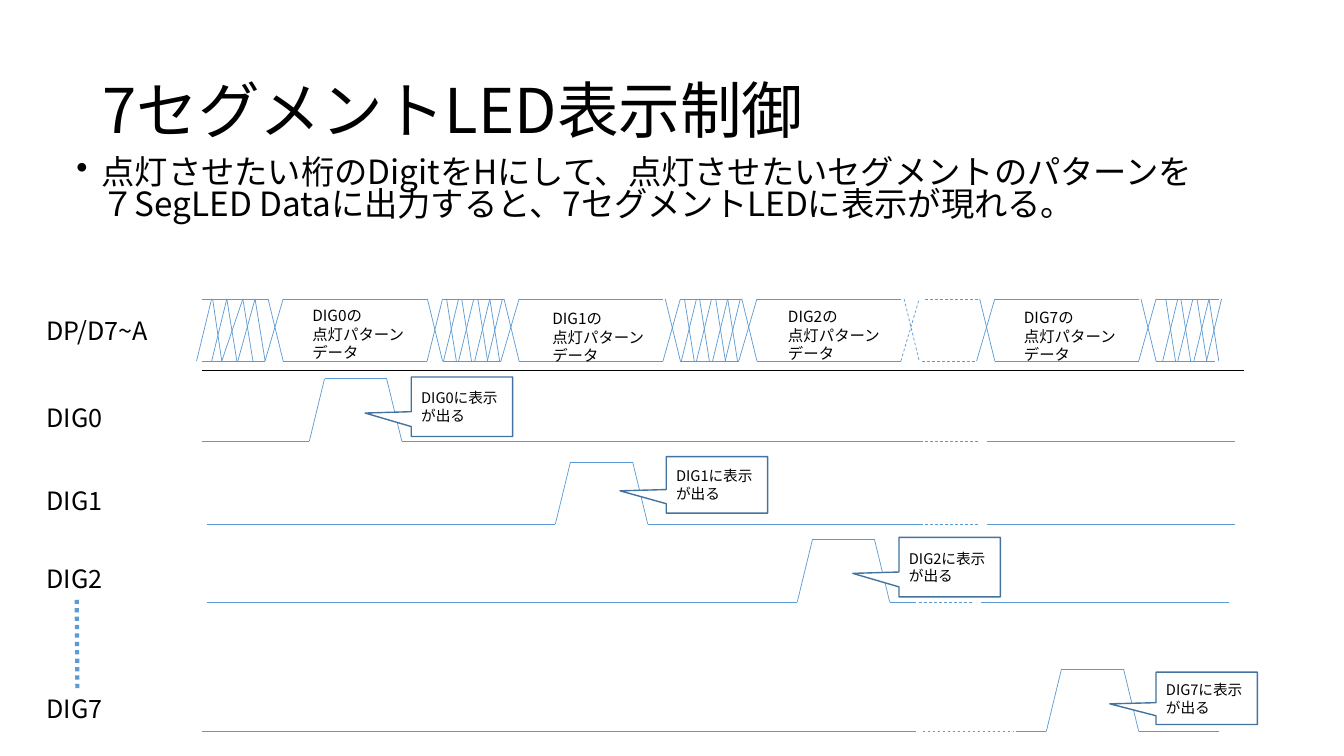
from dataclasses import dataclass

from lxml.etree import SubElement
from pptx import Presentation
from pptx.dml.color import RGBColor
from pptx.enum.dml import MSO_LINE
from pptx.enum.shapes import MSO_CONNECTOR, MSO_SHAPE
from pptx.enum.text import MSO_ANCHOR, PP_ALIGN
from pptx.oxml.ns import qn
from pptx.util import Pt

FONT = "Noto Sans CJK JP"
BLACK = RGBColor(0, 0, 0)
WHITE = RGBColor(255, 255, 255)
WAVE_BLUE = RGBColor(0x5B, 0x9B, 0xD5)
CALLOUT_BLUE = RGBColor(0x43, 0x73, 0x9E)

LABEL_LEFT = 26
CHART_LEFT = 144
SWING = 44.4
EDGE = 10.8
WINDOW_WIDTH = 102.8
NOISE_RISES = [(0.7, 11.5), (11.5, 22.3), (23, 33.8), (32, 42.8)]
NOISE_FALLS = [(2.9, 9.9), (13.7, 20.7), (25.2, 32.2), (33.8, 40.8)]
LEADING_RISES = [(-3.6, 7.2), (7.2, 18), (14.4, 29.5), (25.9, 38.2)]
LEADING_FALLS = [(7.9, 14.4), (18, 25.2), (29.5, 36.7), (38.2, 45.4)]


@dataclass
class DataWindow:
    """A stretch of valid bus data, placed from the left end of the bus."""
    digit: int
    start: float
    noise_start: float
    text_left: float
    text_top: float
    noise_shift: float = 0
    dashed: bool = False


@dataclass
class DigitSignal:
    """A digit line; gap is solid end, dash start, dash end and resumption."""
    digit: int
    baseline: float
    start: float
    pulse: float
    gap: tuple
    end: float
    callout: tuple


WINDOWS = [
    DataWindow(0, 58.3, 172.1, 72, 1.8),
    DataWindow(1, 226.8, 342, 243.4, 3.9),
    DataWindow(2, 396.7, 512.6, 411.8, 2.5, dashed=True),
    DataWindow(7, 566.6, 681.8, 580.3, 3.2, noise_shift=4),
]
SIGNALS = [
    DigitSignal(0, 315, 0, 77, (515, 517, 556, 561), 738, (72.8, -45.7, 42.5)),
    DigitSignal(1, 374.4, 3.6, 252.7, (515, 517, 556, 561), 738, (79.2, -48.2, 40.3)),
    DigitSignal(2, 430, 3.6, 425.5, (510, 512.6, 551.5, 556.6), 733.7, (72.7, -46.2, 42.5)),
    DigitSignal(7, 522.4, 0, 603.4, (510, 515, 579.6, 581.8), 726.5, (78.4, -42.3, 37.4)),
]


def format_paragraph(paragraph, size):
    """Give a paragraph the deck's font in black."""
    font = paragraph.font
    font.name, font.size = FONT, Pt(size)
    font.color.rgb = BLACK
    SubElement(font._element, qn("a:ea"), typeface=FONT)
    paragraph.alignment = PP_ALIGN.LEFT


def add_line(slide, x1, y1, x2, y2, color=WAVE_BLUE, width=0.5, dash=None):
    """Draw a straight line without a shadow."""
    line = slide.shapes.add_connector(
        MSO_CONNECTOR.STRAIGHT, Pt(x1), Pt(y1), Pt(x2), Pt(y2))
    line.line.color.rgb = color
    line.line.width = Pt(width)
    if dash:
        line.line.dash_style = dash
    SubElement(line._element.spPr, qn("a:effectLst"))


def add_text(slide, left, top, width, height, lines, size, wrap=False):
    """Add a text box with one paragraph per line and return its frame."""
    frame = slide.shapes.add_textbox(Pt(left), Pt(top), Pt(width), Pt(height)).text_frame
    frame.word_wrap = wrap
    frame.text = "\n".join(lines)
    for paragraph in frame.paragraphs:
        format_paragraph(paragraph, size)
    return frame


def add_heading(slide, left, top, width, height):
    """Fill the title placeholder."""
    title = slide.shapes.title
    title.left, title.top, title.width, title.height = map(Pt, (left, top, width, height))
    title.text_frame.text = "7セグメントLED表示制御"
    title.text_frame.vertical_anchor = MSO_ANCHOR.MIDDLE
    paragraph = title.text_frame.paragraphs[0]
    format_paragraph(paragraph, 44)
    paragraph.line_spacing = 0.9


def add_explanation(slide, left, top, width, height):
    """Add the bulleted explanation."""
    text = ("点灯させたい桁のDigitをHにして、点灯させたいセグメントのパターンを"
            "７SegLED Dataに出力すると、7セグメントLEDに表示が現れる。")
    frame = add_text(slide, left, top, width, height, [text], 23.8, wrap=True)
    paragraph = frame.paragraphs[0]
    paragraph.line_spacing = 0.8
    paragraph.space_before = Pt(10)
    properties = paragraph._p.get_or_add_pPr()
    properties.set("marL", str(Pt(18)))
    properties.set("indent", str(Pt(-18)))
    bullet = properties.makeelement(qn("a:buChar"), {"char": "•"})
    properties.find(qn("a:defRPr")).addprevious(bullet)


def add_rails(slide, top, top_span, bottom_span, dash=None):
    """Draw the high and low rails of one stretch of the bus."""
    for y, (x1, x2) in ((top, top_span), (top + SWING, bottom_span)):
        add_line(slide, x1, y, x2, y, dash=dash)


def add_edges(slide, left, top, rises, falls, dash=None):
    """Draw rising and falling edges from spans relative to left."""
    for x1, x2 in rises:
        add_line(slide, left + x1, top + SWING, left + x2, top, dash=dash)
    for x1, x2 in falls:
        add_line(slide, left + x1, top, left + x2, top + SWING, dash=dash)


def add_data_window(slide, left, top, window, next_start):
    """Draw one data window and the undefined stretch after it."""
    start, noise = left + window.start, left + window.noise_start
    end = start + WINDOW_WIDTH
    dash = MSO_LINE.DASH if window.dashed else None
    add_edges(slide, start, top, [(-13, 0)], [(-EDGE, 0)])
    add_rails(slide, top, (start, end), (start, end))
    add_edges(slide, noise, top, [(end - noise, 0)], [(-EDGE, 0)], dash)
    inset = 4.4 if window.dashed else 0
    add_rails(slide, top, (noise + inset, left + next_start - EDGE),
              (noise + inset / 2, left + next_start - 13), dash)
    if not window.dashed:
        add_edges(slide, noise + window.noise_shift, top, NOISE_RISES, NOISE_FALLS)
    add_text(slide, left + window.text_left, top + window.text_top, 81.4, 47.5,
             [f"DIG{window.digit}の", "点灯パターン", "データ"], 11)


def add_data_bus(slide, left, top):
    """Draw the segment data bus with its label and separator."""
    add_text(slide, LABEL_LEFT, top + 8.3, 97, 29, ["DP/D7~A"], 18)
    add_line(slide, left, top + 50.7, left + 744.5, top + 50.7, BLACK)
    first = left + WINDOWS[0].start
    add_rails(slide, top, (left, first - EDGE), (left, first - 13))
    add_edges(slide, left, top, LEADING_RISES, LEADING_FALLS)
    next_starts = [window.start for window in WINDOWS[1:]] + [737.2]
    for window, next_start in zip(WINDOWS, next_starts):
        add_data_window(slide, left, top, window, next_start)


def add_callout(slide, left, top, height, digit):
    """Add the note that points at a digit's pulse."""
    callout = slide.shapes.add_shape(
        MSO_SHAPE.RECTANGULAR_CALLOUT, Pt(left), Pt(top), Pt(72.4), Pt(height))
    callout.adjustments[0], callout.adjustments[1] = -0.956, 0.106
    callout.shadow.inherit = False
    callout.fill.solid()
    callout.fill.fore_color.rgb = WHITE
    callout.line.color.rgb = CALLOUT_BLUE
    callout.line.width = Pt(1)
    frame = callout.text_frame
    frame.word_wrap = True
    frame.vertical_anchor = MSO_ANCHOR.MIDDLE
    frame.text = f"DIG{digit}に表示が出る"
    format_paragraph(frame.paragraphs[0], 10.5)


def add_digit_signal(slide, left, baseline, signal):
    """Draw a digit's label, pulse, baseline and callout."""
    add_text(slide, LABEL_LEFT, baseline - 31, 57, 29, [f"DIG{signal.digit}"], 18)
    solid_end, dash_start, dash_end, resume = signal.gap
    pulse, pulse_end = signal.pulse, signal.pulse + 66
    for x1, x2 in ((signal.start, solid_end), (resume, signal.end)):
        has_pulse = x1 < pulse < x2
        pieces = [(x1, pulse), (pulse_end, x2)] if has_pulse else [(x1, x2)]
        for begin, end in pieces:
            add_line(slide, left + begin, baseline, left + end, baseline)
    add_line(slide, left + dash_start, baseline, left + dash_end, baseline,
             dash=MSO_LINE.DASH)
    high = baseline - SWING
    add_edges(slide, left + pulse, high, [(0, EDGE)], [(66 - EDGE, 66)])
    add_line(slide, left + pulse + EDGE, high, left + pulse_end - EDGE, high)
    offset, rise, height = signal.callout
    add_callout(slide, left + pulse + offset, baseline + rise, height, signal.digit)


def main():
    """Build and save the timing chart slide."""
    presentation = Presentation()
    presentation.slide_width, presentation.slide_height = Pt(960), Pt(540)
    slide = presentation.slides.add_slide(presentation.slide_layouts[5])
    add_heading(slide, 66, 28.8, 828, 104.4)
    add_explanation(slide, 47.5, 110.2, 828, 57.6)
    add_data_bus(slide, CHART_LEFT, 213.5)
    for signal in SIGNALS:
        add_digit_signal(slide, CHART_LEFT, signal.baseline, signal)
    add_line(slide, 54.8, 428.4, 55.3, 492.5, width=3, dash=MSO_LINE.ROUND_DOT)
    presentation.save("out.pptx")


if __name__ == "__main__":
    main()
